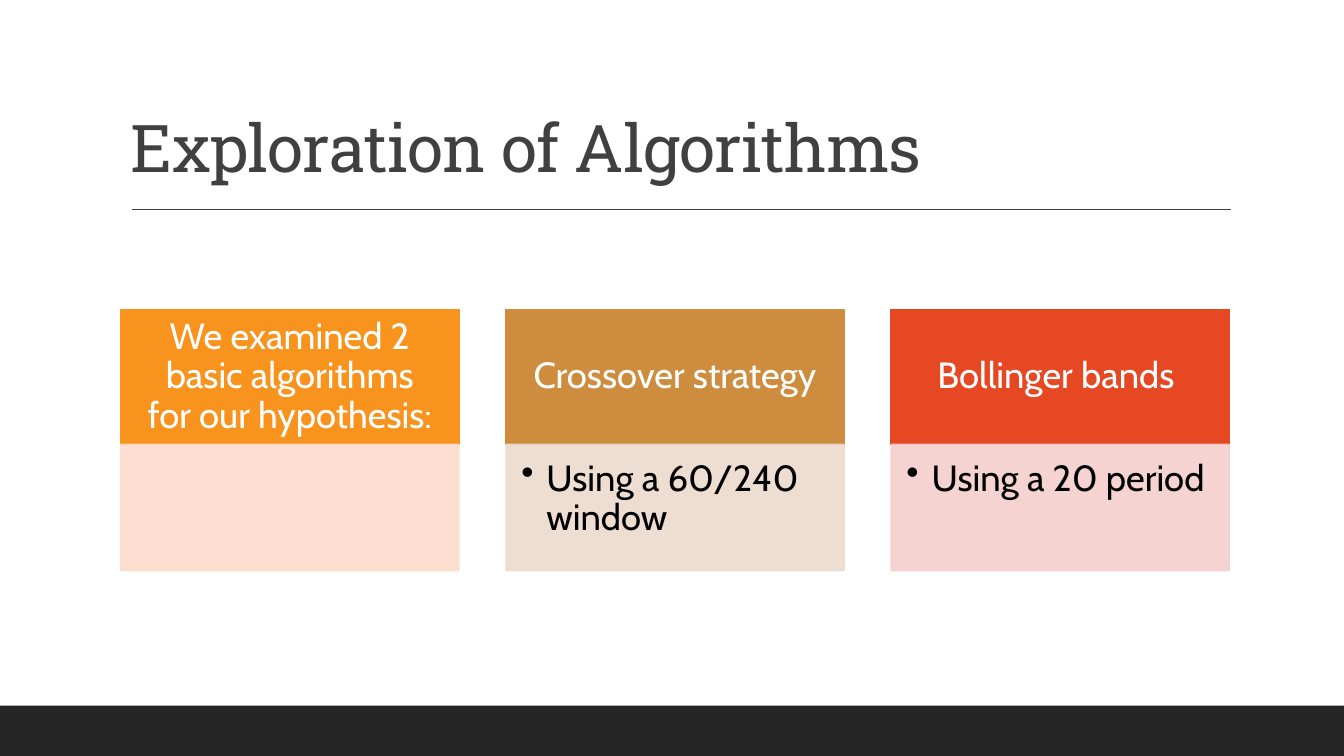
from dataclasses import dataclass
from typing import Any

from lxml.etree import SubElement
from pptx import Presentation
from pptx.dml.color import RGBColor
from pptx.enum.shapes import MSO_CONNECTOR, MSO_SHAPE
from pptx.enum.text import MSO_ANCHOR, PP_ALIGN
from pptx.oxml.ns import qn
from pptx.shapes.autoshape import Shape
from pptx.slide import Slide
from pptx.util import Pt

EMU_PER_PX = 9144
SLIDE_WIDTH, SLIDE_HEIGHT = 1333, 750
FIRST_LEFT, COLUMN_STEP, COLUMN_WIDTH = 120, 382, 335
HEADER_TOP, HEADER_HEIGHT, BODY_HEIGHT = 307, 134, 125
BULLET_INDENT = 25


@dataclass(frozen=True)
class Theme:
    background: str = "FFFFFF"
    title: str = "404040"
    footer: str = "262626"
    header_text: str = "FFFFFF"
    body_text: str = "000000"
    title_font: str = "Roboto Slab"
    body_font: str = "Cabin"
    title_size: int = 47
    body_size: int = 26
    outline_width: float = 1.25
    rule_width: float = 1
    body_opacity: int = 90


@dataclass(frozen=True)
class Box:
    left: int
    top: int
    width: int
    height: int

    def emu(self) -> tuple[int, ...]:
        return tuple(px(value) for value in (self.left, self.top, self.width, self.height))


@dataclass(frozen=True)
class Column:
    heading: str
    bullet: str
    header_color: str
    body_color: str


THEME = Theme()
COLUMNS = (
    Column("We examined 2 basic algorithms for our hypothesis:", "", "F8931D", "FCDCCD"),
    Column("Crossover strategy", "Using a 60/240 window", "CE8D3E", "EDDBCE"),
    Column("Bollinger bands ", "Using a 20 period", "E64823", "F5CFCD"),
)


def px(value: int) -> int:
    return value * EMU_PER_PX


def rgb(color: str) -> RGBColor:
    return RGBColor.from_string(color)


def apply(target: Any, values: dict[str, Any]) -> None:
    for name, value in values.items():
        setattr(target, name, value)


def set_insets(shape: Shape, left: int, top: int, right: int, bottom: int) -> None:
    apply(shape.text_frame, {
        "margin_left": px(left), "margin_top": px(top),
        "margin_right": px(right), "margin_bottom": px(bottom),
    })


def add_panel(slide: Slide, box: Box, color: str, outlined: bool = True) -> Shape:
    shape = slide.shapes.add_shape(MSO_SHAPE.RECTANGLE, *box.emu())
    shape.shadow.inherit = False
    shape.fill.solid()
    shape.fill.fore_color.rgb = rgb(color)
    if outlined:
        shape.line.color.rgb = rgb(color)
        shape.line.width = Pt(THEME.outline_width)
    else:
        shape.line.fill.background()
    return shape


def soften(shape: Shape) -> None:
    for color in list(shape._element.spPr.iter(qn("a:srgbClr"))):
        SubElement(color, qn("a:alpha"), val=str(THEME.body_opacity * 1000))


def write(shape: Shape, text: str, font: str, size: int, color: str,
          anchor: MSO_ANCHOR, alignment: PP_ALIGN) -> Any:
    apply(shape.text_frame, {"word_wrap": True, "vertical_anchor": anchor})
    paragraph = shape.text_frame.paragraphs[0]
    apply(paragraph, {"alignment": alignment, "line_spacing": 0.9})
    run = paragraph.add_run()
    run.text = text
    apply(run.font, {"name": font, "size": Pt(size)})
    run.font.color.rgb = rgb(color)
    return paragraph


def add_title(slide: Slide, text: str) -> None:
    title = slide.shapes.add_textbox(*Box(120, 31, 1100, 159).emu())
    set_insets(title, 10, 5, 10, 5)
    paragraph = write(title, text, THEME.title_font, THEME.title_size, THEME.title,
                      MSO_ANCHOR.BOTTOM, PP_ALIGN.LEFT)
    paragraph.runs[0].font._element.set("spc", "-50")
    rule = slide.shapes.add_connector(
        MSO_CONNECTOR.STRAIGHT, px(131), px(208), px(1221), px(208))
    rule.line.color.rgb = rgb(THEME.title)
    rule.line.width = Pt(THEME.rule_width)
    SubElement(rule._element.spPr, qn("a:effectLst"))


def add_column(slide: Slide, left: int, column: Column) -> None:
    header = add_panel(slide, Box(left, HEADER_TOP, COLUMN_WIDTH, HEADER_HEIGHT),
                       column.header_color)
    set_insets(header, 20, 12, 20, 12)
    write(header, column.heading, THEME.body_font, THEME.body_size, THEME.header_text,
          MSO_ANCHOR.MIDDLE, PP_ALIGN.CENTER)

    body = add_panel(slide, Box(left, HEADER_TOP + HEADER_HEIGHT, COLUMN_WIDTH, BODY_HEIGHT),
                     column.body_color)
    soften(body)
    if column.bullet:
        set_insets(body, 15, 15, 20, 23)
        paragraph = write(body, column.bullet, THEME.body_font, THEME.body_size,
                          THEME.body_text, MSO_ANCHOR.TOP, PP_ALIGN.LEFT)
        properties = paragraph._p.get_or_add_pPr()
        properties.set("marL", str(px(BULLET_INDENT)))
        properties.set("indent", str(-px(BULLET_INDENT)))
        SubElement(properties, qn("a:buChar"), char="•")


def main() -> None:
    presentation = Presentation()
    apply(presentation, {"slide_width": px(SLIDE_WIDTH), "slide_height": px(SLIDE_HEIGHT)})
    slide = presentation.slides.add_slide(presentation.slide_layouts[6])
    slide.background.fill.solid()
    slide.background.fill.fore_color.rgb = rgb(THEME.background)
    add_title(slide, "Exploration of Algorithms")
    add_panel(slide, Box(0, 700, SLIDE_WIDTH, 50), THEME.footer, outlined=False)
    for index, column in enumerate(COLUMNS):
        add_column(slide, FIRST_LEFT + index * COLUMN_STEP, column)
    presentation.save("out.pptx")


if __name__ == "__main__":
    main()
